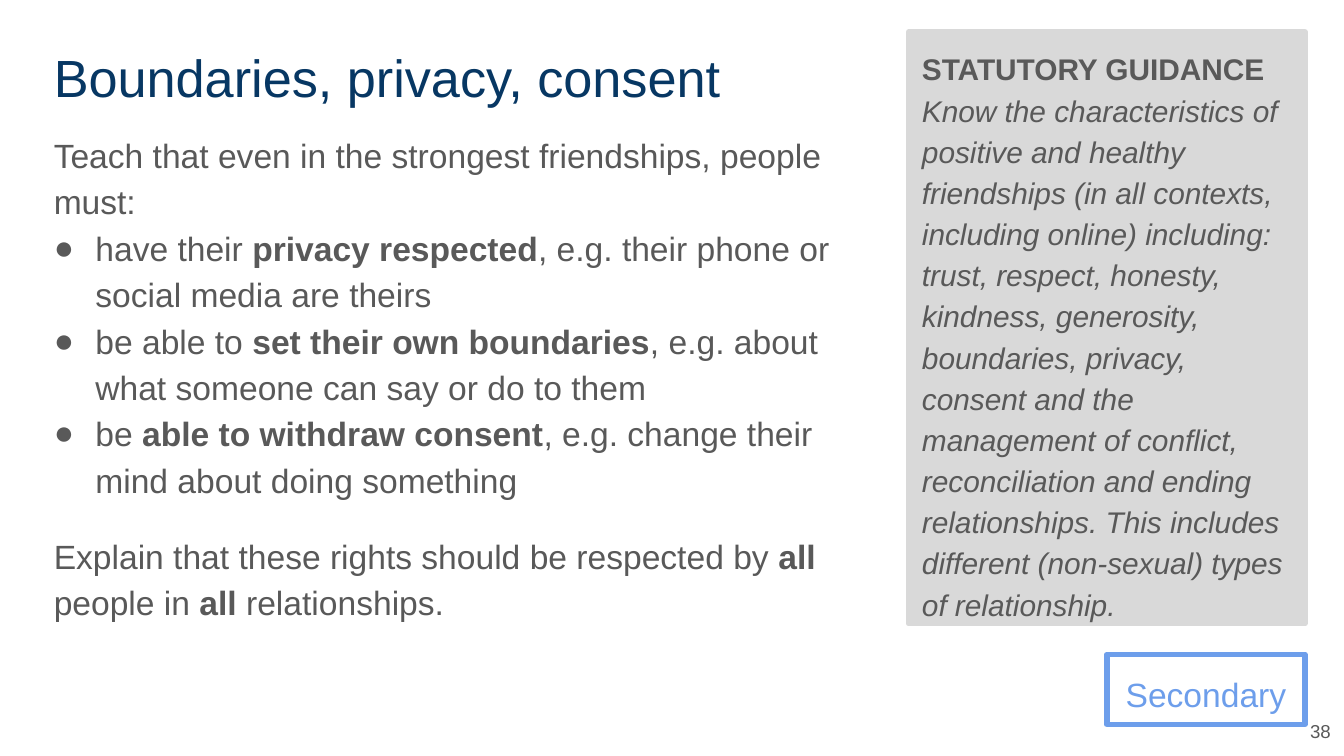
from lxml.etree import SubElement
from pptx import Presentation
from pptx.dml.color import RGBColor
from pptx.enum.shapes import MSO_SHAPE as Shape
from pptx.enum.text import MSO_ANCHOR as Anchor, MSO_AUTO_SIZE as AutoSize, PP_ALIGN as Align
from pptx.oxml.ns import qn
from pptx.util import Inches, Pt

NAVY = RGBColor(0x07, 0x37, 0x63)
GREY = RGBColor(0x59, 0x59, 0x59)
PALE_GREY = RGBColor(0xD9, 0xD9, 0xD9)
BLUE = RGBColor(0x6D, 0x9E, 0xEB)

WIDTH = 10
HEIGHT = WIDTH * 9 / 16
LEFT, TOP = 0.3, 0.24
MAIN_WIDTH, TITLE_HEIGHT = 6.41, 0.63
SIDE_LEFT, SIDE_WIDTH = 6.76, 2.95
BULLET_INDENT = 0.31
FONT = "Arial"

# Each run is a pair: its text and its styles ("b" bold, "i" italic).
INTRO = [("Teach that even in the strongest friendships, people must:", "")]
RIGHTS = [
    [("have their ", ""), ("privacy respected", "b"),
     (", e.g. their phone or social media are theirs", "")],
    [("be able to ", ""), ("set their own boundaries", "b"),
     (", e.g. about what someone can say or do to them", "")],
    [("be ", ""), ("able to withdraw consent", "b"),
     (", e.g. change their mind about doing something", "")],
]
CLOSING = [("Explain that these rights should be respected by ", ""), ("all", "b"),
           (" people in ", ""), ("all ", "b"), ("relationships.", "")]
GUIDANCE = [
    ("STATUTORY GUIDANCE\n", "b"),
    ("Know the characteristics of positive and healthy friendships (in all contexts, "
     "including online) including: trust, respect, honesty, kindness, generosity, "
     "boundaries, privacy, consent and the management of conflict, reconciliation and "
     "ending relationships. This includes different (non-sexual) types of relationship.", "i"),
]


def place(shape, left, top, width, height, anchor=Anchor.TOP):
    """Position a shape and give its text frame even insets."""
    shape.left, shape.top = Inches(left), Inches(top)
    shape.width, shape.height = Inches(width), Inches(height)
    frame = shape.text_frame
    frame.word_wrap = True
    frame.auto_size = AutoSize.NONE
    frame.vertical_anchor = anchor
    frame.margin_left = frame.margin_right = Inches(0.1)
    frame.margin_top = frame.margin_bottom = Inches(0.1)


def set_bullet(paragraph, bullet):
    properties = paragraph._p.get_or_add_pPr()
    indent = Inches(BULLET_INDENT) if bullet else 0
    properties.set("marL", str(indent))
    properties.set("indent", str(-indent))
    if bullet:
        color = SubElement(properties, qn("a:buClr"))
        SubElement(color, qn("a:srgbClr"), val=str(GREY))
        SubElement(properties, qn("a:buFont"), typeface=FONT)
        SubElement(properties, qn("a:buChar"), char="●")
    else:
        SubElement(properties, qn("a:buNone"))


def write(shape, runs, size=18, color=GREY, align=Align.LEFT, spacing=1.15,
          before=0, after=0, bullet=False):
    """Add one paragraph, filling the first one while it is empty."""
    frame = shape.text_frame
    paragraph = frame.paragraphs[0] if not frame.text else frame.add_paragraph()
    paragraph.alignment = align
    paragraph.line_spacing = spacing
    paragraph.space_before, paragraph.space_after = Pt(before), Pt(after)
    set_bullet(paragraph, bullet)
    for text, style in runs:
        run = paragraph.add_run()
        run.text = text.rstrip("\n")
        font = run.font
        font.name, font.size = FONT, Pt(size)
        font.color.rgb = color
        font.bold, font.italic = "b" in style, "i" in style
        if text.endswith("\n"):
            paragraph.add_line_break()


def outline(shape, color):
    shape.line.color.rgb = color
    shape.line.width = Pt(3)
    SubElement(shape.line._get_or_add_ln(), qn("a:round"))


def add_main_text(title, body):
    place(title, LEFT, TOP, MAIN_WIDTH, TITLE_HEIGHT)
    write(title, [("Boundaries, privacy, consent", "")], size=28, color=NAVY, spacing=1.0)
    place(body, LEFT, 0.86, MAIN_WIDTH, 4.01)
    write(body, INTRO, before=16)
    for right in RIGHTS:
        write(body, right, bullet=True)
    write(body, CLOSING, before=16, after=16)


def add_guidance(panel):
    place(panel, SIDE_LEFT, TOP, SIDE_WIDTH, 4.4)
    panel.fill.solid()
    panel.fill.fore_color.rgb = PALE_GREY
    outline(panel, PALE_GREY)
    write(panel, GUIDANCE, size=16)


def add_stage_label(slide):
    width = SIDE_WIDTH / 2
    label = slide.shapes.add_shape(Shape.RECTANGLE, 0, 0, 0, 0)
    place(label, SIDE_LEFT + SIDE_WIDTH - width, 4.87, width, 0.52)
    label.shadow.inherit = False
    label.fill.background()
    outline(label, BLUE)
    write(label, [("Secondary", "")], color=BLUE, align=Align.CENTER)


def add_page_number(slide):
    width, height = 0.39, 0.37
    number = slide.shapes.add_textbox(0, 0, 0, 0)
    place(number, WIDTH - width, HEIGHT - height, width, height, Anchor.MIDDLE)
    write(number, [("38", "")], size=10, align=Align.RIGHT, spacing=1.0)


def main():
    presentation = Presentation()
    presentation.slide_width, presentation.slide_height = Inches(WIDTH), Inches(HEIGHT)
    slide = presentation.slides.add_slide(presentation.slide_layouts.get_by_name("Two Content"))
    title, body, panel = slide.placeholders
    add_main_text(title, body)
    add_page_number(slide)
    add_stage_label(slide)
    add_guidance(panel)
    presentation.save("out.pptx")


if __name__ == "__main__":
    main()
